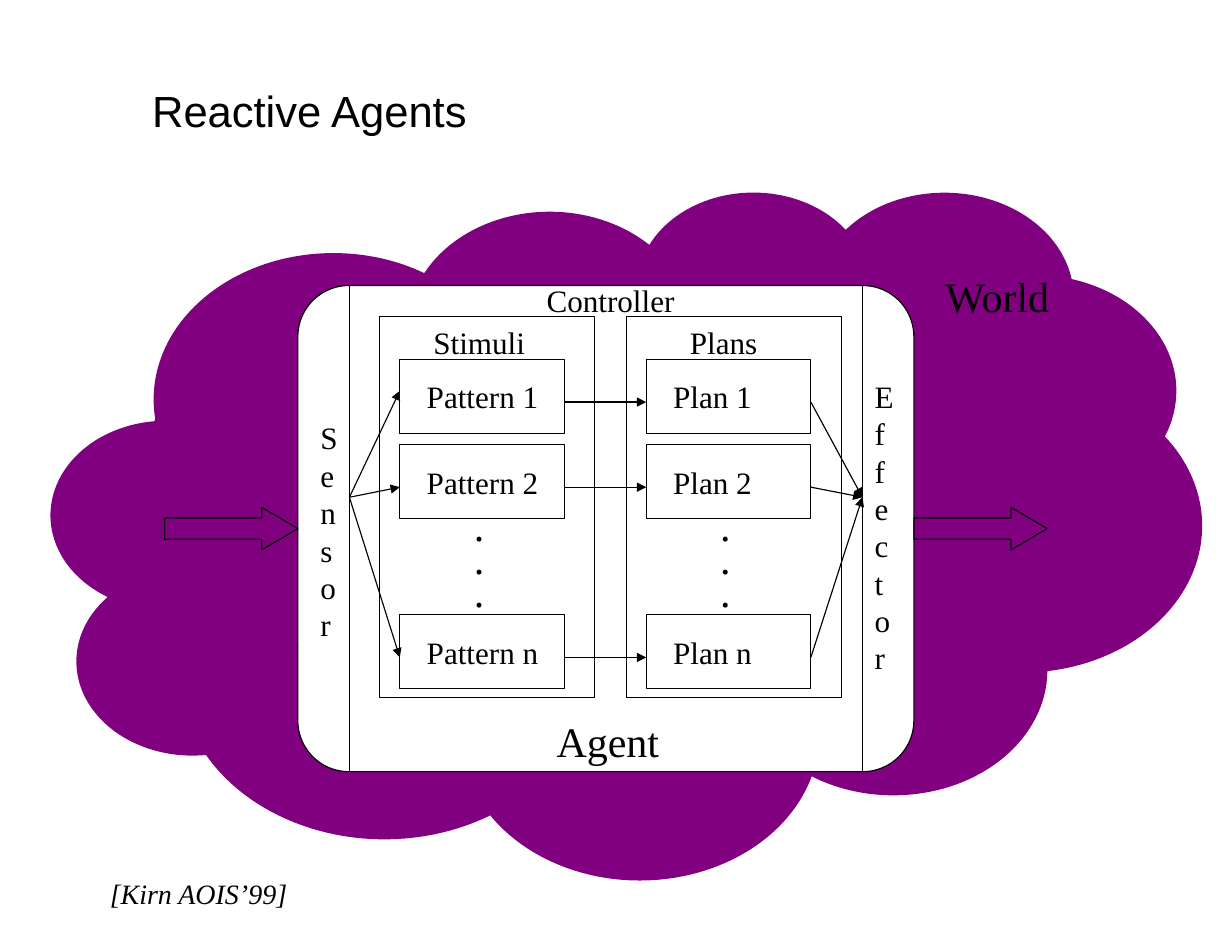
from lxml import etree
from pptx import Presentation
from pptx.dml.color import RGBColor
from pptx.enum.shapes import MSO_CONNECTOR, MSO_SHAPE
from pptx.enum.text import MSO_ANCHOR, MSO_AUTO_SIZE, PP_ALIGN
from pptx.oxml.ns import qn
from pptx.util import Inches, Pt

BLACK, WHITE, PURPLE = "000000", "FFFFFF", "800080"
SERIF, SANS = "Times New Roman", "Arial"
LINE_WIDTH = Pt(0.75)

ROW_SLOTS = {"1": 0, "2": 1, "n": 3}
ROW_PITCH = 0.76
ITEM_WIDTH, ITEM_HEIGHT = 1.47, 0.66
ITEM_INDENT, ITEM_DROP = 0.18, 0.38
ARROW_DROP = 0.38  # below the top of each item
SIDE_WIDTH = 0.46  # strips for sensor and effector


def color(hex_code):
    return RGBColor.from_string(hex_code)


def write(frame, text, size=20, font=SERIF, italic=False, spacing=None):
    """Fill a text frame, one paragraph for each line of text."""
    frame.text = text
    for paragraph in frame.paragraphs:
        paragraph.alignment = PP_ALIGN.LEFT
        if spacing:
            paragraph.line_spacing = spacing
        for run in paragraph.runs:
            run.font.size = Pt(size)
            run.font.name = font
            run.font.italic = italic
            run.font.color.rgb = color(BLACK)


def add_text(slide, text, box, wrap=False, inset=(0.11, 0.06), **text_format):
    frame = slide.shapes.add_textbox(*map(Inches, box)).text_frame
    frame.word_wrap = wrap
    frame.auto_size = MSO_AUTO_SIZE.SHAPE_TO_FIT_TEXT
    frame.margin_left = frame.margin_right = Inches(inset[0])
    frame.margin_top = frame.margin_bottom = Inches(inset[1])
    write(frame, text, **text_format)


def add_outline(slide, preset, box, fill=None, line=BLACK, adjustments=()):
    shape = slide.shapes.add_shape(preset, *map(Inches, box))
    shape.shadow.inherit = False
    for index, value in enumerate(adjustments):
        shape.adjustments[index] = value
    if fill:
        shape.fill.solid()
        shape.fill.fore_color.rgb = color(fill)
    else:
        shape.fill.background()
    if line:
        shape.line.color.rgb = color(line)
        shape.line.width = LINE_WIDTH
    else:
        shape.line.fill.background()
    return shape


def add_line(slide, start, end, arrow=False):
    line = slide.shapes.add_connector(
        MSO_CONNECTOR.STRAIGHT, *map(Inches, (*start, *end)))
    line.line.color.rgb = color(BLACK)
    line.line.width = LINE_WIDTH
    if arrow:
        etree.SubElement(line.line._get_or_add_ln(), qn("a:tailEnd"), type="triangle")
    etree.SubElement(line._element.spPr, qn("a:effectLst"))


def add_world(slide, box):
    left, top, width, height = box
    add_outline(slide, MSO_SHAPE.CLOUD_CALLOUT, box, fill=PURPLE, line=None,
                adjustments=(0.186, -0.124))
    add_text(slide, "World", (left + 7.87, top + 0.66, 1.18, 0.56), size=27)


def add_column(slide, box, heading, heading_indent, heading_width, item_name):
    """Draw a framed list of items; return the left, right and arrow heights."""
    left, top, width, height = box
    add_outline(slide, MSO_SHAPE.RECTANGLE, box)
    add_text(slide, heading, (left + heading_indent, top, heading_width, 0.45))

    item_left, first_top = left + ITEM_INDENT, top + ITEM_DROP
    arrow_heights = []
    for number, slot in ROW_SLOTS.items():
        item_top = first_top + slot * ROW_PITCH
        item = add_outline(slide, MSO_SHAPE.RECTANGLE,
                           (item_left, item_top, ITEM_WIDTH, ITEM_HEIGHT))
        frame = item.text_frame
        frame.word_wrap = True
        frame.vertical_anchor = MSO_ANCHOR.MIDDLE
        frame.margin_left, frame.margin_right = Inches(0.24), Inches(0.1)
        write(frame, f"{item_name} {number}")
        arrow_heights.append(item_top + ARROW_DROP)

    add_text(slide, ".\n.\n.", (left + 0.73, top + 1.71, 0.32, 0.99),
             size=27, spacing=0.65)
    return item_left, item_left + ITEM_WIDTH, arrow_heights


def add_agent(slide, box):
    left, top, width, height = box
    right, bottom = left + width, top + height
    add_outline(slide, MSO_SHAPE.ROUNDED_RECTANGLE, box, fill=WHITE,
                adjustments=(0.105,))

    sensor_edge, effector_edge = left + SIDE_WIDTH, right - SIDE_WIDTH
    for edge in (sensor_edge, effector_edge):
        add_line(slide, (edge, top), (edge, bottom))
    add_text(slide, "\n".join("Sensor"), (left + 0.09, top + 1.13, 0.38, 2.11))
    add_text(slide, "\n".join("Effector"), (effector_edge, top + 0.76, 0.39, 2.78))
    add_text(slide, "Controller", (left + 2.11, top - 0.1, 1.37, 0.45))
    add_text(slide, "Agent", (left + 2.2, bottom - 0.56, 1.14, 0.56), size=27)

    column_top = top + 0.28
    pattern_left, pattern_right, heights = add_column(
        slide, (left + 0.73, column_top, 1.92, 3.4), "Stimuli", 0.37, 1.04, "Pattern")
    plan_left, plan_right, heights = add_column(
        slide, (left + 2.93, column_top, 1.92, 3.4), "Plans", 0.46, 0.83, "Plan")

    hub = top + 1.89
    sensor_targets = [heights[0] - 0.1, *heights[1:]]
    for target, height in zip(sensor_targets, heights):
        add_line(slide, (sensor_edge, hub), (pattern_left, target), arrow=True)
        add_line(slide, (pattern_right, height), (plan_left, height), arrow=True)
        add_line(slide, (plan_right, height), (effector_edge, hub), arrow=True)


def add_flow_arrows(slide, agent_box):
    """Draw the block arrows into and out of the agent."""
    left, top, width, height = agent_box
    arrow_width, arrow_height = 1.19, 0.38
    arrow_top = top + (height - arrow_height) / 2
    for arrow_left in (left - arrow_width, left + width):
        add_outline(slide, MSO_SHAPE.RIGHT_ARROW,
                    (arrow_left, arrow_top, arrow_width, arrow_height),
                    adjustments=(0.5, 0.85))


def main():
    presentation = Presentation()
    presentation.slide_width, presentation.slide_height = Inches(11), Inches(8.5)
    slide = presentation.slides.add_slide(presentation.slide_layouts[6])

    agent_box = (2.66, 2.55, 5.5, 4.34)
    add_world(slide, (0.46, 1.7, 10.27, 6.14))
    add_agent(slide, agent_box)
    add_flow_arrows(slide, agent_box)
    add_text(slide, "[Kirn AOIS’99]", (0.87, 7.77, 1.81, 0.41), size=18, italic=True)
    add_text(slide, "Reactive Agents", (1.26, 0.7, 4.52, 0.57), wrap=True,
             inset=(0.1, 0.05), size=28, font=SANS)
    presentation.save("out.pptx")


if __name__ == "__main__":
    main()
